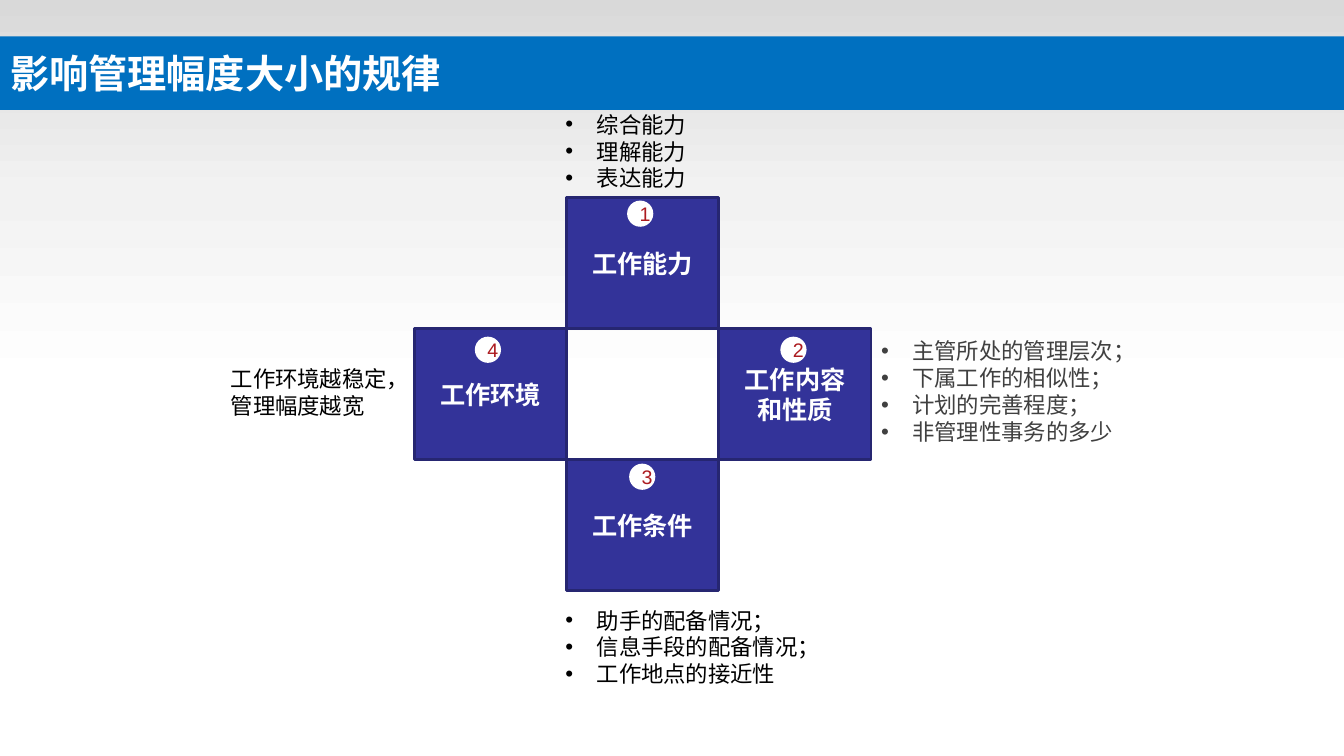
import copy

import pptx
import pptx.util
import pptx.dml.color
import pptx.enum.shapes
import pptx.enum.text
import pptx.oxml.ns
from lxml import etree

Inches, Pt = pptx.util.Inches, pptx.util.Pt
RGBColor = pptx.dml.color.RGBColor
MSO_SHAPE = pptx.enum.shapes.MSO_SHAPE
PP_ALIGN = pptx.enum.text.PP_ALIGN
MSO_ANCHOR = pptx.enum.text.MSO_ANCHOR
MSO_AUTO_SIZE = pptx.enum.text.MSO_AUTO_SIZE
qn = pptx.oxml.ns.qn

WHITE = RGBColor(0xFF, 0xFF, 0xFF)
BLACK = RGBColor(0, 0, 0)
CHARCOAL = RGBColor(0x40, 0x40, 0x40)
RED = RGBColor(0xAC, 0x1B, 0x20)
BLUE = RGBColor(0x00, 0x70, 0xC0)
INDIGO = RGBColor(0x33, 0x33, 0x99)
DARK_INDIGO = RGBColor(0x26, 0x26, 0x71)
GREY = RGBColor(0xD9, 0xD9, 0xD9)
LIGHT_GREY = RGBColor(0xF2, 0xF2, 0xF2)

CJK = "Noto Sans CJK SC"
TITLE = {"name": CJK, "size": Pt(28), "bold": True}
TILE = {"name": "Arial", "size": Pt(18), "bold": True}
NUMBER = {"name": "Arial", "size": Pt(14), "bold": False}
NOTE = {"name": "Arial", "size": Pt(16), "bold": False}
NOTE_CJK = {**NOTE, "name": CJK}

# Tile: name lines, grid column, grid row, number, badge offset in the tile
TILES = [
    (["工作能力"], 1, 0, "1", (0.6, 0.03)),
    (["工作内容", "和性质"], 2, 1, "2", (0.61, 0.08)),
    (["工作条件"], 1, 2, "3", (0.62, 0.04)),
    (["工作环境"], 0, 1, "4", (0.6, 0.08)),
]

# Note: box, lines, bulleted, font, colour, wrap
NOTES = [
    ((5.51, 1.05, 1.42, 0.91), ["综合能力", "理解能力", "表达能力"],
     True, NOTE, BLACK, False),
    ((8.64, 3.3, 2.82, 1.18),
     ["主管所处的管理层次；", "下属工作的相似性；", "计划的完善程度；", "非管理性事务的多少"],
     True, NOTE_CJK, CHARCOAL, True),
    ((5.51, 5.97, 2.85, 0.91),
     ["助手的配备情况；", "信息手段的配备情况；", "工作地点的接近性"],
     True, NOTE, BLACK, True),
    ((2.19, 3.57, 2, 0.64), ["工作环境越稳定，", "管理幅度越宽"],
     False, NOTE, BLACK, False),
]


def inches(box):
    return [Inches(v) for v in box]


def add_bullet(p):
    pPr = p._p.get_or_add_pPr()
    pPr.set("marL", str(Inches(0.31)))
    pPr.set("indent", str(-Inches(0.31)))
    etree.SubElement(pPr, qn("a:buFont")).set("typeface", "Arial")
    etree.SubElement(pPr, qn("a:buChar")).set("char", "•")


def write(tf, lines, font, color, align=PP_ALIGN.LEFT, bulleted=False):
    for i, line in enumerate(lines):
        p = tf.add_paragraph() if i else tf.paragraphs[0]
        p.alignment = align
        if bulleted:
            add_bullet(p)
        r = p.add_run()
        r.text = line
        for key, value in font.items():
            setattr(r.font, key, value)
        r.font.color.rgb = color
        etree.SubElement(r.font._element, qn("a:ea")).set("typeface", CJK)


def add_filled(slide, kind, box, color, line=None):
    sp = slide.shapes.add_shape(kind, *inches(box))
    sp.shadow.inherit = False
    sp.fill.solid()
    sp.fill.fore_color.rgb = color
    if line is None:
        sp.line.fill.background()
    else:
        sp.line.color.rgb = line
        sp.line.width = Pt(2)
    sp.text_frame.vertical_anchor = MSO_ANCHOR.MIDDLE
    return sp


def build_backdrop(slide, box):
    sp = add_filled(slide, MSO_SHAPE.RECTANGLE, box, WHITE)
    sp.fill.gradient()
    sp.fill.gradient_angle = 270
    # A third stop between the two default ones
    first = sp._element.spPr.find(".//" + qn("a:gs"))
    first.addnext(copy.deepcopy(first))
    stops = zip(sp.fill.gradient_stops, (0, 0.5, 1), (GREY, LIGHT_GREY, WHITE))
    for stop, position, color in stops:
        stop.position = position
        stop.color.rgb = color
    # Behind the title
    slide.shapes._spTree.insert(2, sp._element)


def build_title(slide, box, text):
    sp = slide.shapes.title
    sp.left, sp.top, sp.width, sp.height = inches(box)
    sp.fill.solid()
    sp.fill.fore_color.rgb = BLUE
    tf = sp.text_frame
    tf.auto_size = MSO_AUTO_SIZE.NONE
    tf.vertical_anchor = MSO_ANCHOR.MIDDLE
    write(tf, [text], TITLE, WHITE)


def build_badge(slide, box, number):
    sp = add_filled(slide, MSO_SHAPE.OVAL, box, WHITE)
    tf = sp.text_frame
    tf.word_wrap = False
    tf.margin_left = Inches(0.1)
    tf.margin_right = tf.margin_top = tf.margin_bottom = 0
    write(tf, [number], NUMBER, RED, PP_ALIGN.CENTER)


def build_cross(slide, box):
    left, top, width, height = box
    w, h = width / 3, height / 3
    for name, col, row, number, (dx, dy) in TILES:
        x, y = left + col * w, top + row * h
        sp = add_filled(slide, MSO_SHAPE.RECTANGLE, (x, y, w, h),
                        INDIGO, DARK_INDIGO)
        write(sp.text_frame, name, TILE, WHITE, PP_ALIGN.CENTER)
        build_badge(slide, (x + dx, y + dy, 0.26, 0.26), number)


def build_note(slide, box, lines, bulleted, font, color, wrap):
    tf = slide.shapes.add_textbox(*inches(box)).text_frame
    tf.word_wrap = wrap
    write(tf, lines, font, color, bulleted=bulleted)


def main():
    prs = pptx.Presentation()
    prs.slide_width, prs.slide_height = Inches(13.33), Inches(7.5)
    slide = prs.slides.add_slide(prs.slide_layouts[5])
    build_backdrop(slide, (0, 0, 13.33, 3.83))
    build_title(slide, (0, 0.36, 13.33, 0.73), "影响管理幅度大小的规律")
    build_cross(slide, (4.11, 1.96, 4.53, 3.9))
    for note in NOTES:
        build_note(slide, *note)
    prs.save("out.pptx")


if __name__ == "__main__":
    main()
